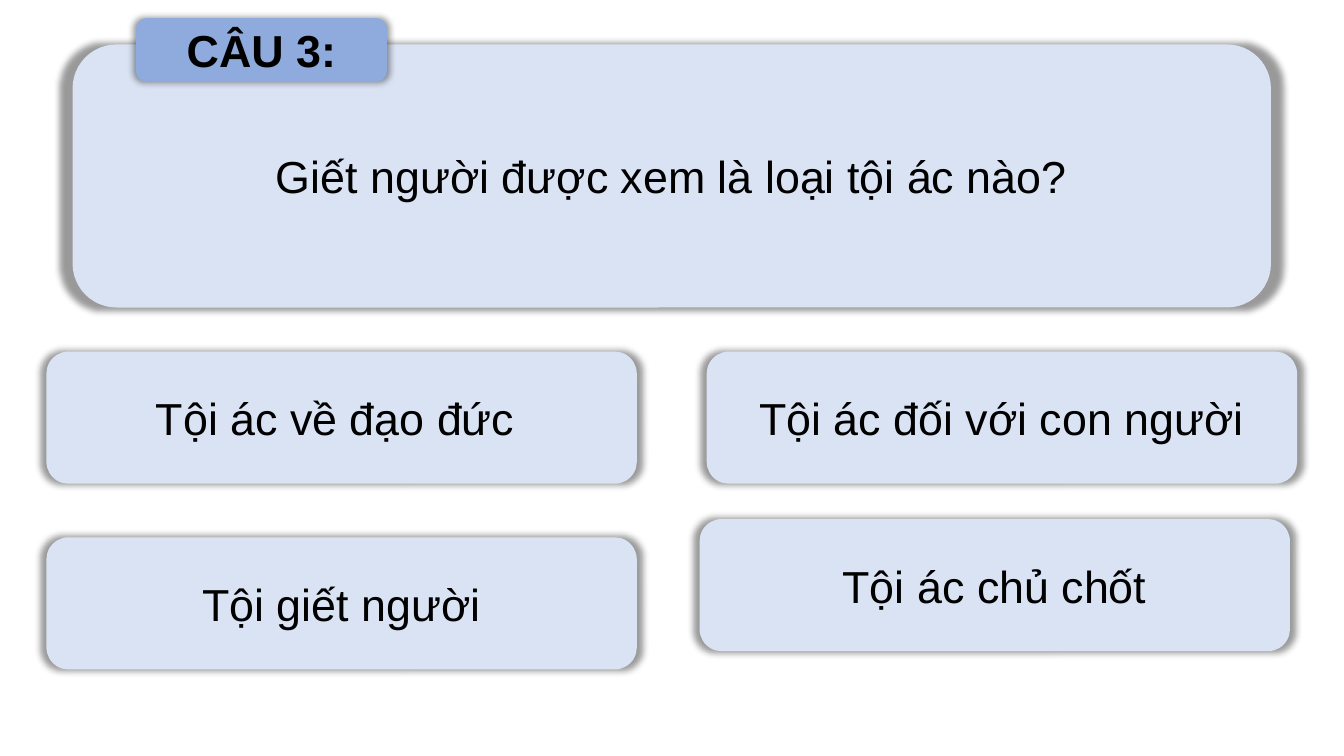
from dataclasses import dataclass

from lxml import etree
from pptx import Presentation
from pptx.dml.color import RGBColor
from pptx.enum.shapes import MSO_SHAPE
from pptx.enum.text import MSO_ANCHOR, PP_ALIGN
from pptx.oxml.ns import qn
from pptx.util import Cm, Pt

ROUNDED = MSO_SHAPE.ROUNDED_RECTANGLE
MIDDLE = MSO_ANCHOR.MIDDLE
CENTER = PP_ALIGN.CENTER


@dataclass(frozen=True)
class Theme:
    panel: RGBColor = RGBColor(0xDA, 0xE3, 0xF3)
    label: RGBColor = RGBColor(0x8F, 0xAA, 0xDC)
    text: RGBColor = RGBColor(0, 0, 0)
    shadow: str = "000000"
    font: str = "Arial"
    size: Pt = Pt(32)


THEME = Theme()


def add_glow_shadow(shape):
    """Add a soft shadow, slightly larger than the shape, on all sides."""
    shape.shadow.inherit = False
    effects = shape._element.spPr.find(qn("a:effectLst"))
    shadow = etree.SubElement(
        effects, qn("a:outerShdw"), blurRad=str(Pt(5)),
        sx="102000", sy="102000", algn="ctr", rotWithShape="0")
    color = etree.SubElement(shadow, qn("a:srgbClr"), val=THEME.shadow)
    etree.SubElement(color, qn("a:alpha"), val="40000")


def add_card(slide, box, text, fill=THEME.panel, bold=False):
    """Add a rounded card; box is left, top, width and height in cm."""
    shape = slide.shapes.add_shape(ROUNDED, *map(Cm, box))
    shape.fill.solid()
    shape.fill.fore_color.rgb = fill
    shape.line.fill.background()
    add_glow_shadow(shape)
    frame = shape.text_frame
    frame.word_wrap = True
    frame.vertical_anchor = MIDDLE
    frame.text = text
    paragraph = frame.paragraphs[0]
    paragraph.alignment = CENTER
    font = paragraph.runs[0].font
    font.name = THEME.font
    font.size = THEME.size
    font.bold = bold
    font.color.rgb = THEME.text


def add_question(slide, box, label, question):
    """Add the question panel with its label over the top edge."""
    left, top, _, _ = box
    add_card(slide, box, question)
    add_card(slide, (left + 1.6, top - 0.66, 6.32, 1.6), label, THEME.label, bold=True)


def add_answers(slide, box, answers):
    """Fill the box with answer cards, each given as text, left and top offset."""
    left, top, width, height = box
    card_width, card_height = 14.88, 3.33
    column_step = width - card_width
    row_step = height - card_height
    for index, (answer, shift_x, shift_y) in enumerate(answers):
        row, column = divmod(index, 2)
        add_card(slide, (left + column * column_step + shift_x,
                         top + row * row_step + shift_y,
                         card_width, card_height), answer)


def main():
    presentation = Presentation()
    presentation.slide_width = Cm(33.87)
    presentation.slide_height = Cm(19.05)
    slide = presentation.slides.add_slide(presentation.slide_layouts[6])
    add_question(slide, (1.83, 1.12, 30.2, 6.63), "CÂU 3:",
                 "Giết người được xem là loại tội ác nào?")
    add_answers(slide, (1.17, 8.86, 31.52, 8.01), [
        ("Tội ác về đạo đức ", 0, 0),
        ("Tội ác đối với con người", 0, 0),
        ("Tội giết người", 0, 0),
        ("Tội ác chủ chốt", -0.18, -0.46),
    ])
    presentation.save("out.pptx")


if __name__ == "__main__":
    main()
